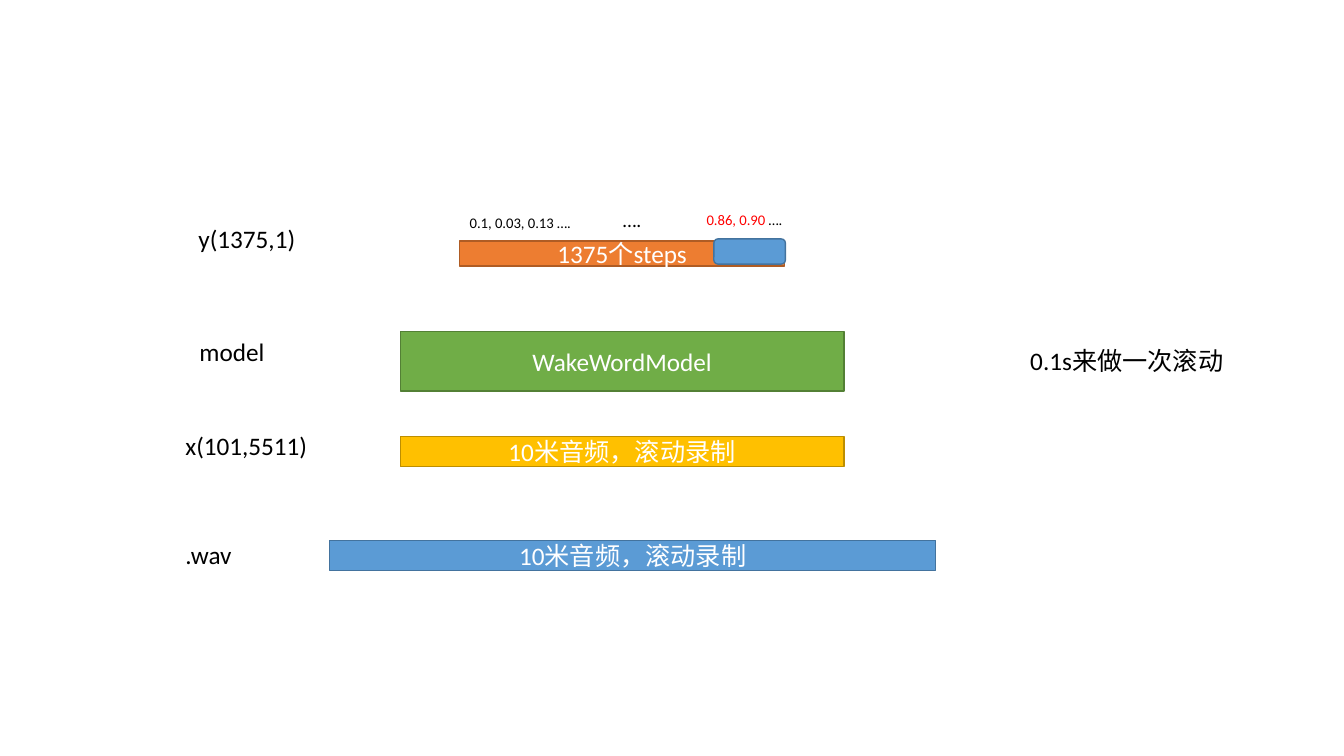
import pptx
import pptx.util
import pptx.dml.color
import pptx.enum.shapes
import pptx.enum.text

Inches = pptx.util.Inches
Pt = pptx.util.Pt
KIND = pptx.enum.shapes.MSO_SHAPE
TEXT = pptx.enum.text

COLORS = {
    "blue": "5B9BD5", "navy": "43739E",
    "gold": "FFC000", "ochre": "BD8E00",
    "green": "70AD47", "moss": "538035",
    "orange": "ED7D31", "rust": "AF5C24",
    "white": "FFFFFF", "black": "000000", "red": "FF0000",
}


def color(name):
    """Return the named colour."""
    return pptx.dml.color.RGBColor.from_string(COLORS[name])


def style(run, size, tint):
    """Set the font of a run."""
    run.font.name = "Calibri"
    run.font.size = Pt(size)
    run.font.color.rgb = color(tint)


def bar(slide, box, fill, line, text="", kind=KIND.RECTANGLE):
    """Draw a filled bar with centred white text."""
    shape = slide.shapes.add_shape(kind, *map(Inches, box))
    shape.shadow.inherit = False
    shape.fill.solid()
    shape.fill.fore_color.rgb = color(fill)
    shape.line.color.rgb = color(line)
    shape.line.width = Pt(1)
    if text:
        frame = shape.text_frame
        frame.text = text
        frame.vertical_anchor = TEXT.MSO_ANCHOR.MIDDLE
        para = frame.paragraphs[0]
        para.alignment = TEXT.PP_ALIGN.CENTER
        style(para.runs[0], 18, "white")


def label(slide, box, parts, size=18, wrap=False):
    """Write a text box from pairs of text and colour."""
    frame = slide.shapes.add_textbox(*map(Inches, box)).text_frame
    frame.word_wrap = wrap
    frame.auto_size = TEXT.MSO_AUTO_SIZE.SHAPE_TO_FIT_TEXT
    for text, tint in parts:
        run = frame.paragraphs[0].add_run()
        run.text = text
        style(run, size, tint)


def main():
    """Build the wake word slide."""
    deck = pptx.Presentation()
    deck.slide_width = Inches(13.33)
    deck.slide_height = Inches(7.5)
    slide = deck.slides.add_slide(deck.slide_layouts[6])

    audio = "10米音频，滚动录制"
    bar(slide, (3.27, 5.36, 6.01, 0.3), "blue", "navy", audio)
    bar(slide, (3.97, 4.33, 4.4, 0.3), "gold", "ochre", audio)
    bar(slide, (3.97, 3.29, 4.4, 0.59), "green", "moss", "WakeWordModel")
    bar(slide, (4.56, 2.39, 3.22, 0.25), "orange", "rust", "1375个steps")

    for left, top, width, text in (
        (1.74, 5.3, 0.67, ".wav"),
        (1.74, 4.22, 1.42, "x(101,5511)"),
        (1.88, 3.29, 0.85, "model"),
        (1.87, 2.17, 1.18, "y(1375,1)"),
    ):
        label(slide, (left, top, width, 0.4), [(text, "black")])

    label(slide, (4.56, 2.07, 1.23, 0.28), [("0.1, 0.03, 0.13 ….", "black")], 10.5)
    label(slide, (6.91, 2.04, 0.97, 0.28), [("0.86, 0.90 ", "red"), ("….", "black")], 10.5)
    label(slide, (6.08, 2.01, 0.39, 0.34), [("….", "black")], 14)
    label(slide, (10.12, 3.38, 2.13, 0.4), [("0.1s来做一次滚动", "black")], wrap=True)

    bar(slide, (7.08, 2.37, 0.71, 0.25), "blue", "navy", kind=KIND.ROUNDED_RECTANGLE)
    deck.save("out.pptx")


if __name__ == "__main__":
    main()
